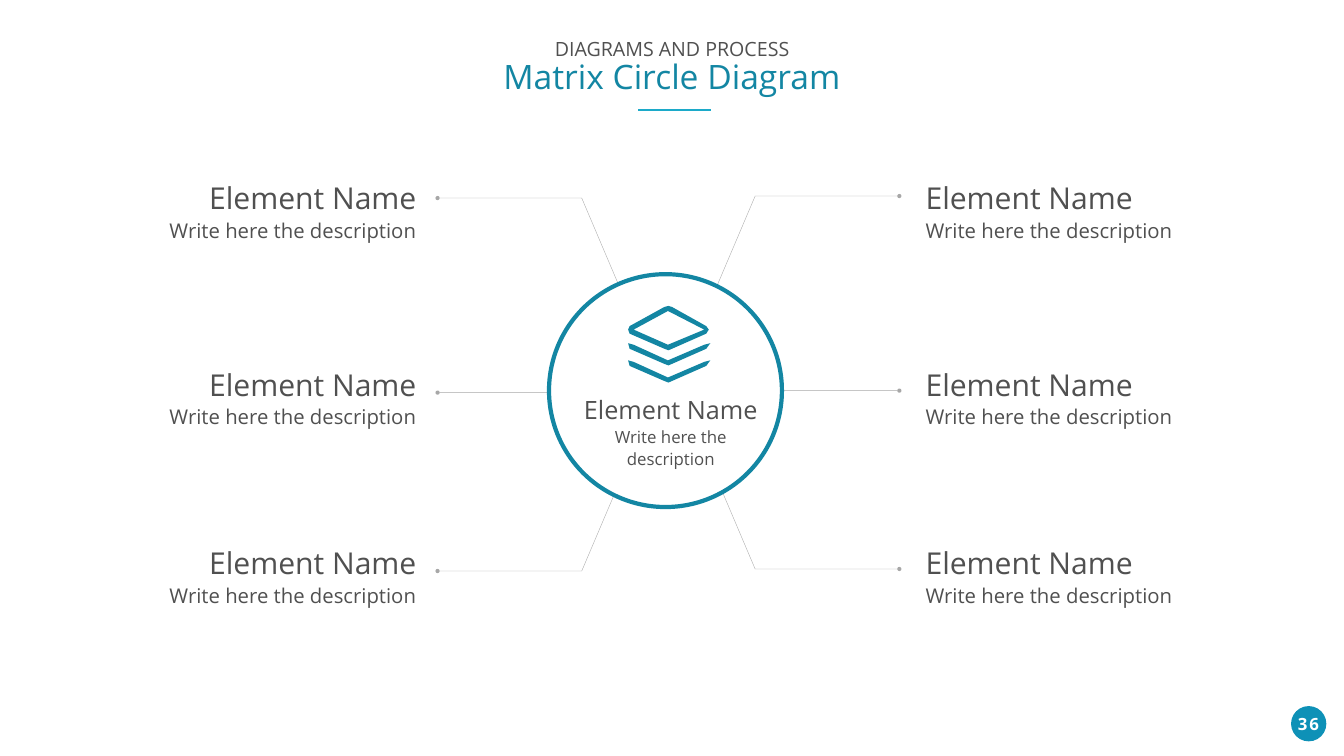
from lxml import etree
from pptx import Presentation
from pptx.dml.color import RGBColor
from pptx.enum.shapes import MSO_CONNECTOR, MSO_SHAPE
from pptx.enum.text import MSO_AUTO_SIZE, PP_ALIGN as AL
from pptx.oxml.ns import qn
from pptx.util import Inches, Pt

FONT = "Open Sans"
GREY = RGBColor(0x50, 0x50, 0x50)
TEAL = RGBColor(0x13, 0x86, 0xA3)
ACCENT = RGBColor(0x1C, 0xAA, 0xC9)
BADGE = RGBColor(0x0E, 0x91, 0xB7)
WHITE = RGBColor(0xFF, 0xFF, 0xFF)

NAME, DESCRIPTION = "Element Name", "Write here the description"

# Icon outlines, in inches on the slide
TILE = [(12.49, 6.62), (13.18, 6.92), (13.26, 6.95), (13.33, 6.92), (14.01, 6.62),
        (14.06, 6.54), (14.01, 6.47), (13.33, 6.09), (13.26, 6.07), (13.18, 6.09),
        (12.49, 6.47), (12.46, 6.54)]
TILE_HOLE = [(13.25, 6.17), (13.97, 6.54), (13.25, 6.84), (12.57, 6.54)]
CHEVRON = [(13.25, 7.49), (12.57, 7.18), (12.46, 7.15), (12.49, 7.26), (13.18, 7.56),
           (13.26, 7.59), (13.33, 7.56), (14.01, 7.26), (14.09, 7.15), (13.97, 7.18)]
CHEVRON_STEP = 0.34


class Deck:
    def __init__(self, width, height):
        self.prs = Presentation()
        self.prs.slide_width, self.prs.slide_height = Inches(width), Inches(height)
        self.s = self.prs.slides.add_slide(self.prs.slide_layouts[6])

    def ellipse(self, x, y, size, fill, line=None, width=0):
        sp = self.s.shapes.add_shape(MSO_SHAPE.OVAL, *map(Inches, (x, y, size, size)))
        sp.shadow.inherit = False
        sp.fill.solid()
        sp.fill.fore_color.rgb = fill
        if line is None:
            sp.line.fill.background()
        else:
            sp.line.color.rgb = line
            sp.line.width = Pt(width)

    def text(self, box, lines, align=AL.CENTER, spacing=1.0, side_inset=0.1,
             top_inset=0.05, wrap=True, bold=False):
        """Add a text box; each line is (text, size, colour)."""
        sp = self.s.shapes.add_textbox(*map(Inches, box))
        tf = sp.text_frame
        tf.word_wrap = wrap
        tf.auto_size = MSO_AUTO_SIZE.SHAPE_TO_FIT_TEXT
        tf.margin_left = tf.margin_right = Inches(side_inset)
        tf.margin_top = tf.margin_bottom = Inches(top_inset)
        for i, (words, size, color) in enumerate(lines):
            p = tf.add_paragraph() if i else tf.paragraphs[0]
            p.text = words
            p.alignment, p.line_spacing = align, spacing
            font = p.font
            font.name, font.size, font.bold = FONT, Pt(size), bold
            font.color.rgb = color
        return tf

    def element(self, box, name_size, size, align):
        self.text(box, [(NAME, name_size, GREY), (DESCRIPTION, size, GREY)],
                  align, spacing=1.1, side_inset=0, top_inset=0.1)

    def line(self, start, end, color, width):
        c = self.s.shapes.add_connector(MSO_CONNECTOR.STRAIGHT,
                                        *map(Inches, (*start, *end)))
        c.line.color.rgb = color
        c.line.width = Pt(width)
        etree.SubElement(c._element.spPr, qn("a:effectLst"))
        return c

    def outline(self, contours, close=True):
        """Draw one freeform from lists of points."""
        first, *others = [[(Inches(x), Inches(y)) for x, y in c] for c in contours]
        fb = self.s.shapes.build_freeform(*first[0])
        fb.add_line_segments(first[1:], close=close)
        for points in others:
            fb.move_to(*points[0])
            fb.add_line_segments(points[1:], close=close)
        sp = fb.convert_to_shape()
        sp.shadow.inherit = False
        return sp

    def leader(self, points):
        """Thin half-transparent line ending in a dot."""
        if len(points) == 2:
            sp = self.line(*points, GREY, 0.5)
        else:
            sp = self.outline([points], close=False)
            sp.fill.background()
            sp.line.color.rgb = GREY
            sp.line.width = Pt(0.5)
        ln = sp.line._get_or_add_ln()
        etree.SubElement(ln.find(".//" + qn("a:srgbClr")), qn("a:alpha"), val="50000")
        etree.SubElement(ln, qn("a:tailEnd"), type="oval")

    def icon(self):
        upper = [(x, y - CHEVRON_STEP) for x, y in CHEVRON]
        sp = self.outline([TILE, TILE_HOLE, upper, CHEVRON])
        sp.fill.solid()
        sp.fill.fore_color.rgb = TEAL
        sp.line.fill.background()


def main():
    deck = Deck(26.66, 15)

    deck.ellipse(25.61, 14.01, 0.7, BADGE)
    number = deck.text((25.56, 14.11, 0.79, 0.5), [("36", 24, WHITE)], bold=True)
    number.paragraphs[0].runs[0]._r.get_or_add_rPr().set("spc", "300")

    # Per side: dot, bend, inner end, circle edge, middle height, text left, alignment
    sides = [(8.68, 11.54, 13.01, 11.01, 7.79, 3.3, AL.RIGHT),
             (17.84, 14.98, 13.51, 15.51, 7.75, 18.36, AL.LEFT)]
    for dot, bend, inner, edge, mid, _, _ in sides:
        for y, slope in ((mid - 3.86, 3.46), (mid + 3.54, -3.46)):
            deck.leader([(inner, y + slope), (bend, y), (dot, y)])
        deck.leader([(edge, mid), (dot, mid)])

    deck.ellipse(10.89, 5.44, 4.62, WHITE, TEAL, 6)
    for *_, left, align in sides:
        for top in (3.39, 7.09, 10.64):
            deck.element((left, top, 4.96, 1.53), 43, 29, align)

    deck.icon()
    deck.element((11.44, 7.66, 3.73, 1.76), 36, 24, AL.CENTER)

    deck.text((9.85, 0.74, 6.96, 1.25),
              [("DIAGRAMS AND PROCESS", 28, GREY), ("Matrix Circle Diagram", 48, TEAL)],
              spacing=0.9, wrap=False)
    deck.line((14.1, 2.18), (12.66, 2.18), ACCENT, 3)

    deck.prs.save("out.pptx")


if __name__ == "__main__":
    main()
